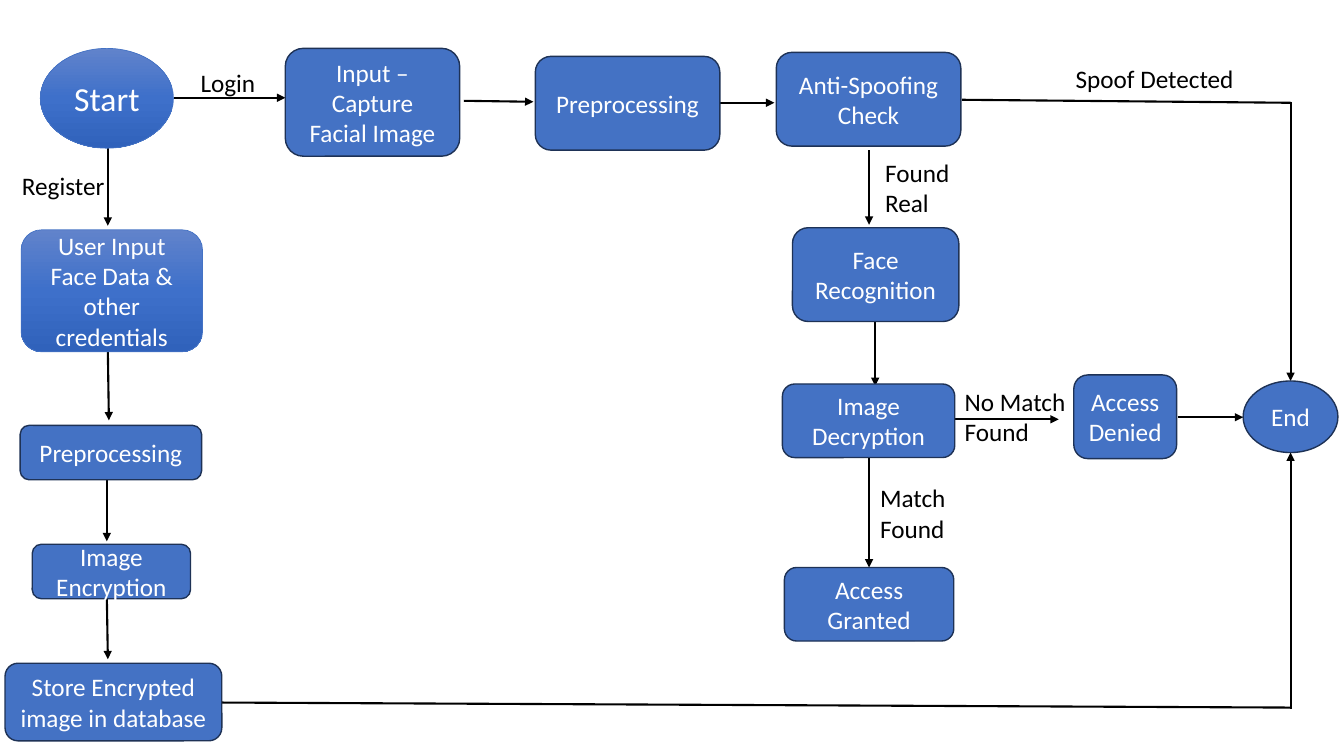
from copy import deepcopy
from dataclasses import dataclass

from pptx import Presentation
from pptx import util as u
from pptx.dml.color import RGBColor
from pptx.enum import shapes, text
from pptx.oxml import parse_xml
from pptx.oxml.ns import nsdecls, qn

COLUMNS, ROWS = 133.3, 75
WIDTH, HEIGHT = u.Inches(13.33), u.Inches(7.5)

WHITE = RGBColor(0xFF, 0xFF, 0xFF)
BLACK = RGBColor(0x00, 0x00, 0x00)
BLUE = RGBColor(0x44, 0x72, 0xC4)
NAVY = RGBColor(0x1E, 0x32, 0x56)
GRADIENT = (
    RGBColor(0x61, 0x83, 0xCB),
    RGBColor(0x3E, 0x70, 0xCA),
    RGBColor(0x30, 0x62, 0xBB),
)

ROUNDED = shapes.MSO_SHAPE.ROUNDED_RECTANGLE
OVAL = shapes.MSO_SHAPE.OVAL
CENTER, LEFT = text.PP_ALIGN.CENTER, text.PP_ALIGN.LEFT
NODE_FRAME = {"word_wrap": True, "vertical_anchor": text.MSO_ANCHOR.MIDDLE}
LABEL_FRAME = {"word_wrap": True, "auto_size": text.MSO_AUTO_SIZE.SHAPE_TO_FIT_TEXT}


@dataclass(frozen=True)
class Node:
    wording: str
    col: float
    row: float
    cols: float
    rows: float
    outline: shapes.MSO_SHAPE = ROUNDED
    size: int = 18
    shaded: bool = False


@dataclass(frozen=True)
class Label:
    wording: str
    col: float
    row: float
    cols: float
    rows: float = 7.1


@dataclass(frozen=True)
class Flow:
    col: float
    row: float
    end_col: float
    end_row: float
    arrow: bool = True


NODES = (
    Node("Start", 4, 4.8, 13.2, 9.9, OVAL, 24, True),
    Node("User Input Face Data & other credentials", 2.1, 22.8, 18, 12.1, shaded=True),
    Node("Preprocessing", 2, 42.2, 18, 5.4),
    Node("Image Encryption", 3.2, 54, 15.7, 5.4),
    Node("Store Encrypted image in database", 0.5, 65.8, 21.5, 7.7),
    Node("Input – Capture Facial Image", 28.3, 4.8, 17.3, 10.7),
    Node("Preprocessing", 53.1, 5.6, 18.3, 9.3),
    Node("Anti-Spoofing Check", 77, 5.2, 18.3, 9.3),
    Node("Face Recognition", 78.6, 22.6, 16.5, 9.3),
    Node("Image Decryption", 77.6, 38.1, 17.1, 7.3),
    Node("Access Granted", 77.8, 56.3, 16.8, 7.3),
    Node("Access Denied", 106.5, 37.2, 10.2, 8.3),
    Node("End", 123.3, 37.8, 9.4, 7.1, OVAL),
)

LABELS = (
    Label("Login", 18.9, 6.2, 7.9, 4),
    Label("Register", 1.2, 16.4, 10.7, 4),
    Label("Spoof Detected", 105.7, 5.8, 19.6, 4),
    Label("Found Real", 86.8, 15.1, 9.3),
    Label("Match Found", 86.3, 47.4, 11.2),
    Label("No Match Found", 94.7, 37.8, 13),
)

FLOWS = (
    Flow(17.3, 9.7, 28.3, 9.7),
    Flow(10.7, 14.6, 10.7, 22.4),
    Flow(10.7, 34.9, 10.8, 41.7),
    Flow(10.6, 47.6, 10.6, 53.7),
    Flow(10.6, 59.4, 10.7, 65.4),
    Flow(46, 10, 52.9, 10.1),
    Flow(71.4, 10.2, 76.8, 10.2),
    Flow(86.2, 14.9, 86.2, 22.3),
    Flow(86.8, 31.8, 86.8, 38.3),
    Flow(86.2, 45.3, 86.2, 56.3),
    Flow(94.7, 41.6, 105, 41.6),
    Flow(116.8, 41.4, 123.3, 41.4),
    Flow(95.4, 9.9, 128, 10.2, False),
    Flow(128, 10.1, 128, 37.8),
    Flow(22, 69.7, 128.1, 70.2, False),
    Flow(128, 70.3, 128, 44.9),
)


def x(cols: float) -> int:
    return round(WIDTH * cols / COLUMNS)


def y(rows: float) -> int:
    return round(HEIGHT * rows / ROWS)


def apply(target: object, values: dict) -> None:
    for name, value in values.items():
        setattr(target, name, value)


def write(tf, wording: str, frame: dict, align, size: int, color: RGBColor) -> None:
    apply(tf, frame)
    p = tf.paragraphs[0]
    p.alignment = align
    r = p.add_run()
    r.text = wording
    apply(r.font, {"name": "Calibri", "size": u.Pt(size)})
    r.font.color.rgb = color


def shade(sp) -> None:
    sp.fill.gradient()
    sp.fill.gradient_angle = 270
    stops = sp._element.spPr.find(qn("a:gradFill")).find(qn("a:gsLst"))
    stops.insert(1, deepcopy(stops[0]))
    for i, (stop, color) in enumerate(zip(sp.fill.gradient_stops, GRADIENT)):
        stop.position = i / 2
        stop.color.rgb = color


def draw_node(slide, node: Node) -> None:
    sp = slide.shapes.add_shape(
        node.outline, x(node.col), y(node.row), x(node.cols), y(node.rows)
    )
    sp.shadow.inherit = False
    if node.shaded:
        shade(sp)
    else:
        sp.fill.solid()
        sp.fill.fore_color.rgb = BLUE
    sp.line.color.rgb = BLUE if node.shaded else NAVY
    sp.line.width = u.Pt(0.5 if node.shaded else 1)
    write(sp.text_frame, node.wording, NODE_FRAME, CENTER, node.size, WHITE)


def draw_label(slide, label: Label) -> None:
    sp = slide.shapes.add_textbox(
        x(label.col), y(label.row), x(label.cols), y(label.rows)
    )
    write(sp.text_frame, label.wording, LABEL_FRAME, LEFT, 18, BLACK)


def draw_flow(slide, flow: Flow) -> None:
    sp = slide.shapes.add_connector(
        shapes.MSO_CONNECTOR.STRAIGHT,
        x(flow.col), y(flow.row), x(flow.end_col), y(flow.end_row),
    )
    sp.line.color.rgb = BLACK
    sp.line.width = u.Pt(1.5)
    if flow.arrow:
        sp.line._get_or_add_ln().append(
            parse_xml(f'<a:tailEnd {nsdecls("a")} type="triangle"/>')
        )
    sp._element.spPr.append(parse_xml(f'<a:effectLst {nsdecls("a")}/>'))


def main() -> None:
    prs = Presentation()
    apply(prs, {"slide_width": WIDTH, "slide_height": HEIGHT})
    slide = prs.slides.add_slide(prs.slide_layouts[6])
    for flow in FLOWS:
        draw_flow(slide, flow)
    for node in NODES:
        draw_node(slide, node)
    for label in LABELS:
        draw_label(slide, label)
    prs.save("out.pptx")


if __name__ == "__main__":
    main()
